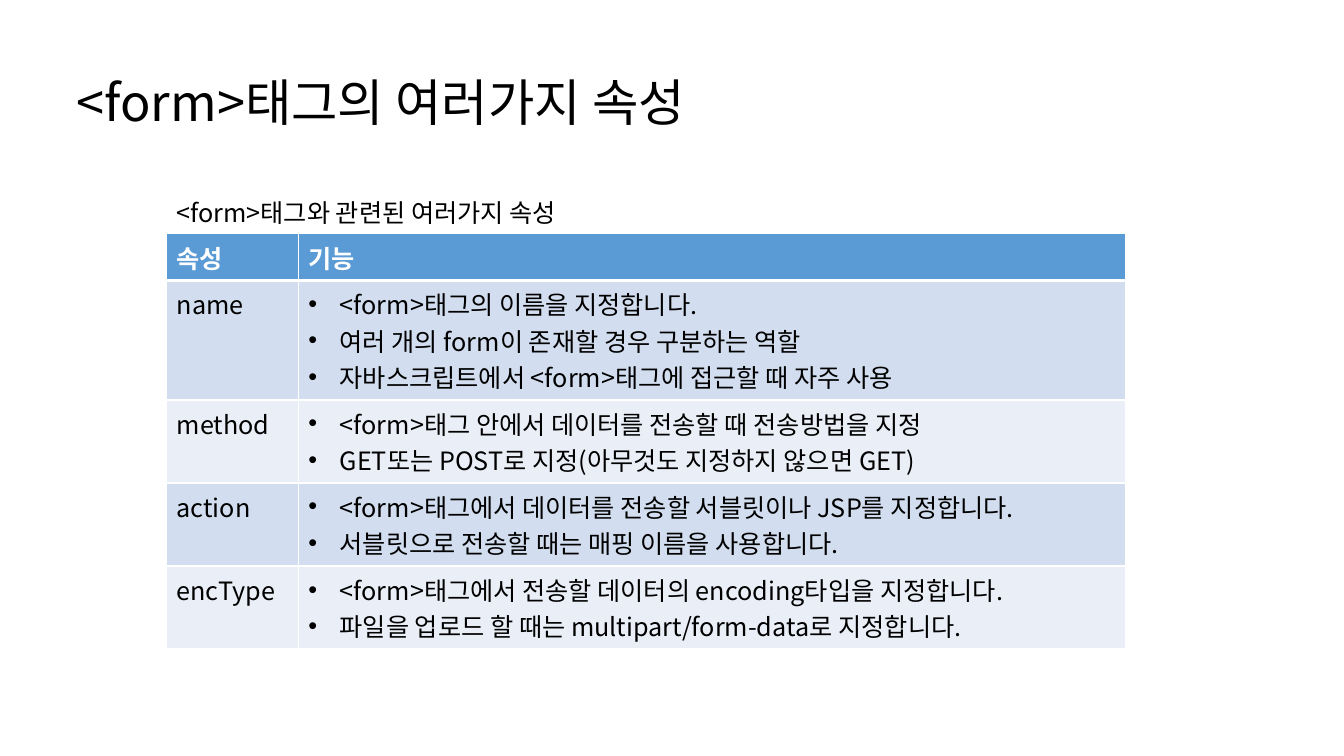
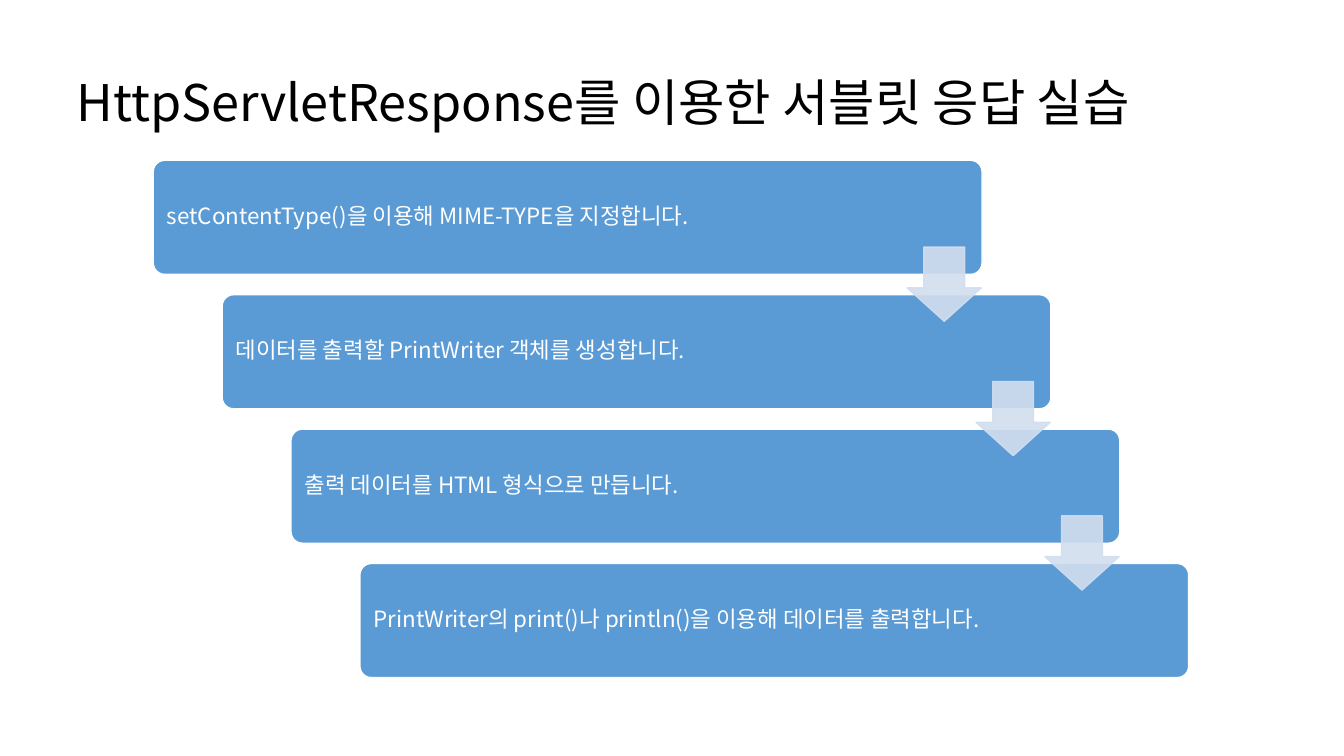
from lxml import etree
from pptx import Presentation
from pptx import util as u
from pptx.dml.color import RGBColor
from pptx.enum import shapes, text
from pptx.oxml.ns import qn

FONT = "Noto Sans CJK KR"
BLACK, WHITE, BLUE = "000000", "FFFFFF", "5B9BD5"
BAND_DARK, BAND_LIGHT = "D2DEEF", "EAEFF7"

ATTRIBUTES = [
    ("name", ["<form>태그의 이름을 지정합니다.",
              "여러 개의 form이 존재할 경우 구분하는 역할",
              "자바스크립트에서 <form>태그에 접근할 때 자주 사용"]),
    ("method", ["<form>태그 안에서 데이터를 전송할 때 전송방법을 지정",
                "GET또는 POST로 지정(아무것도 지정하지 않으면 GET)"]),
    ("action", ["<form>태그에서 데이터를 전송할 서블릿이나 JSP를 지정합니다.",
                "서블릿으로 전송할 때는 매핑 이름을 사용합니다."]),
    ("encType", ["<form>태그에서 전송할 데이터의 encoding타입을 지정합니다.",
                 "파일을 업로드 할 때는 multipart/form-data로 지정합니다."]),
]
STEPS = [
    "setContentType()을 이용해 MIME-TYPE을 지정합니다.",
    "데이터를 출력할 PrintWriter 객체를 생성합니다.",
    "출력 데이터를 HTML 형식으로 만듭니다.",
    "PrintWriter의 print()나 println()을 이용해 데이터를 출력합니다.",
]


def rgb(color):
    return RGBColor.from_string(color)


def box(*lengths):
    return [u.Pt(v) for v in lengths]


def write(tf, lines, size=18, color=BLACK, bold=False, bullet=False, spacing=None):
    tf.word_wrap = True
    for i, line in enumerate(lines):
        p = tf.paragraphs[0] if i == 0 else tf.add_paragraph()
        p.alignment = text.PP_ALIGN.LEFT
        if spacing:
            p.line_spacing = spacing
        if bullet:
            pPr = p._p.get_or_add_pPr()
            pPr.set("marL", str(u.Pt(22.5)))
            pPr.set("indent", str(u.Pt(-22.5)))
            etree.SubElement(pPr, qn("a:buFont"), typeface="Arial")
            etree.SubElement(pPr, qn("a:buChar"), char="•")
        r = p.add_run()
        r.text = line
        f = r.font
        f.size, f.bold, f.name = u.Pt(size), bold, FONT
        f.color.rgb = rgb(color)
        etree.SubElement(r._r.get_or_add_rPr(), qn("a:ea"), typeface=FONT)


def add_slide(prs, title):
    s = prs.slides.add_slide(prs.slide_layouts[5])
    sp = s.shapes.title
    sp.left, sp.top, sp.width, sp.height = box(47.5, 33, 828, 65)
    tf = sp.text_frame
    tf.auto_size = text.MSO_AUTO_SIZE.NONE
    tf.vertical_anchor = text.MSO_ANCHOR.BOTTOM
    write(tf, [title], size=36, spacing=0.9)
    return s


def add_shape(s, kind, place, fill, line, adjustments):
    sp = s.shapes.add_shape(kind, *box(*place))
    sp.shadow.inherit = False
    sp.fill.solid()
    sp.fill.fore_color.rgb = rgb(fill)
    sp.line.color.rgb = rgb(line)
    sp.line.width = u.Pt(1)
    for i, value in enumerate(adjustments):
        sp.adjustments[i] = value
    return sp


def add_step(s, label, left, top):
    sp = add_shape(s, shapes.MSO_SHAPE.ROUNDED_RECTANGLE,
                   (left, top, 592, 81.5), BLUE, WHITE, [0.1])
    tf = sp.text_frame
    tf.vertical_anchor = text.MSO_ANCHOR.MIDDLE
    tf.margin_left = u.Pt(7.4)
    write(tf, [label], size=16, color=WHITE, spacing=0.9)


def add_down_arrow(s, left, top):
    sp = add_shape(s, shapes.MSO_SHAPE.DOWN_ARROW,
                   (left, top, 53, 53), BAND_DARK, BAND_DARK, [0.55, 0.45])
    for color in sp._element.spPr.iter(qn("a:srgbClr")):
        etree.SubElement(color, qn("a:alpha"), val="90000")


def format_cell(cell, fill, top=1, bottom=1):
    tcPr = cell._tc.get_or_add_tcPr()
    for side, width in (("L", 1), ("R", 1), ("T", top), ("B", bottom)):
        ln = etree.SubElement(tcPr, qn(f"a:ln{side}"), w=str(u.Pt(width)))
        solid = etree.SubElement(ln, qn("a:solidFill"))
        etree.SubElement(solid, qn("a:srgbClr"), val=WHITE)
    cell.fill.solid()
    cell.fill.fore_color.rgb = rgb(fill)


def add_attribute_table(s):
    rows = len(ATTRIBUTES) + 1
    table = s.shapes.add_table(rows, 2, *box(119, 167, 685, 29.2 * rows)).table
    table.columns[0].width, table.columns[1].width = box(94, 591)
    for col, heading in enumerate(["속성", "기능"]):
        cell = table.cell(0, col)
        format_cell(cell, BLUE, bottom=3)
        write(cell.text_frame, [heading], color=WHITE, bold=True)
    for row, (name, uses) in enumerate(ATTRIBUTES, 1):
        fill = BAND_DARK if row % 2 else BAND_LIGHT
        for col, lines in enumerate([[name], uses]):
            cell = table.cell(row, col)
            format_cell(cell, fill, top=3 if row == 1 else 1)
            write(cell.text_frame, lines, bullet=col == 1)


def add_caption(s, caption):
    tf = s.shapes.add_textbox(*box(119, 137.5, 610, 29)).text_frame
    write(tf, [caption])


def add_staircase(s):
    places = [(109.5 + 49.2 * i, 114.5 + 96 * i) for i in range(len(STEPS))]
    for label, (left, top) in zip(STEPS, places):
        add_step(s, label, left, top)
    for left, top in places[:-1]:
        add_down_arrow(s, left + 538.5, top + 62)


def main():
    prs = Presentation()
    prs.slide_width, prs.slide_height = box(960, 540)
    s = add_slide(prs, "<form>태그의 여러가지 속성")
    add_attribute_table(s)
    add_caption(s, "<form>태그와 관련된 여러가지 속성")
    s = add_slide(prs, "HttpServletResponse를 이용한 서블릿 응답 실습")
    add_staircase(s)
    prs.save("out.pptx")


if __name__ == "__main__":
    main()
